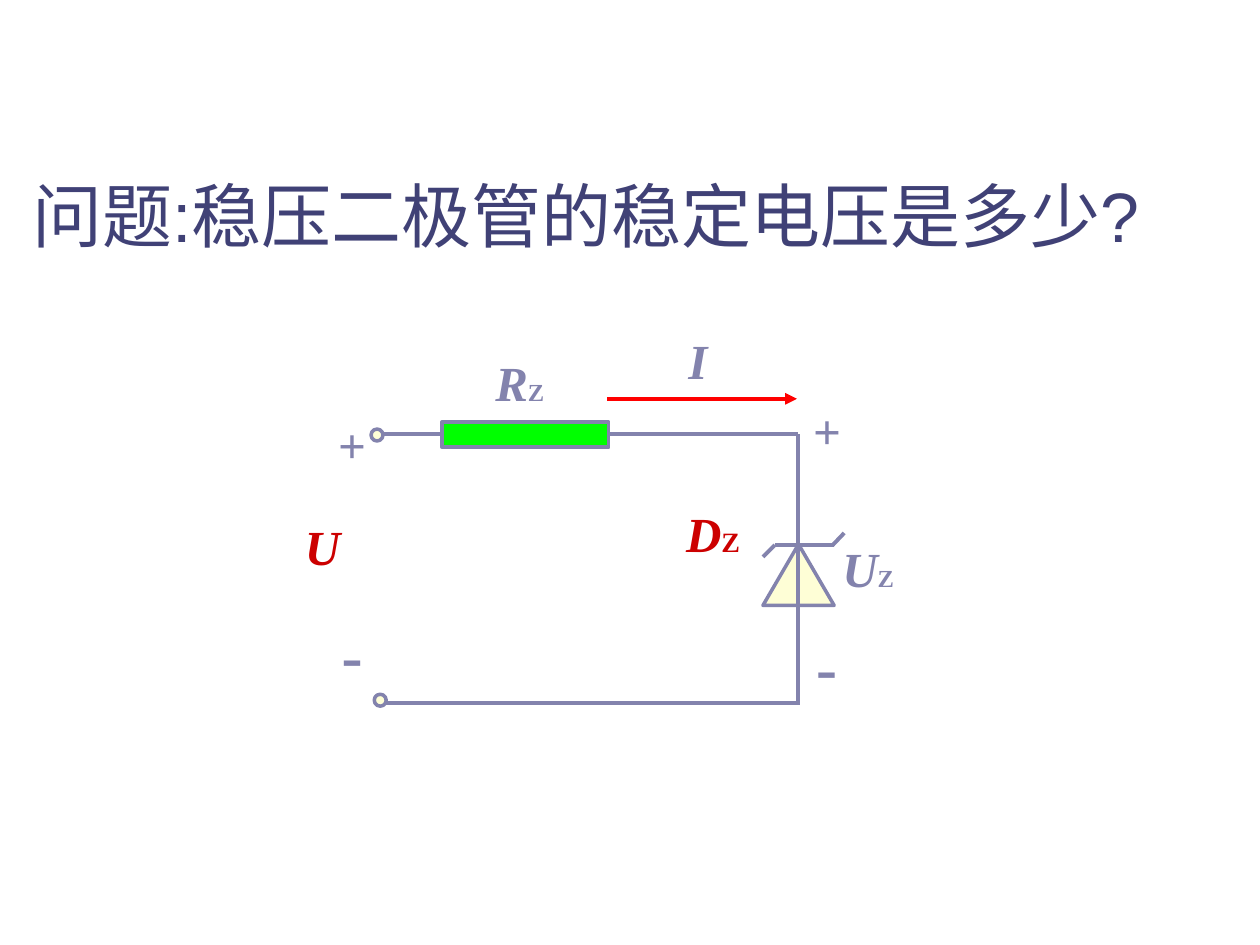
"""Build a slide that asks for the stable voltage of a Zener diode circuit."""
import pptx
import pptx.dml.color
import pptx.enum.shapes
import pptx.enum.text
import pptx.oxml.ns
import pptx.util
import lxml.etree

SHAPES = pptx.enum.shapes.MSO_SHAPE
COLUMNS, ROWS = 100, 75
SLIDE_WIDTH, SLIDE_HEIGHT = pptx.util.Inches(10), pptx.util.Inches(7.5)

INK, NAVY, RED, CURRENT, GREEN, CREAM = "8383AD", "404176", "CC0000", "FF0000", "00FF00", "FEFED6"
SERIF = "Times New Roman"
LEFT, RIGHT, TOP, BOTTOM = 30.4, 63.35, 34.45, 55.8
CATHODE = 43.25

QUESTION = "问题:稳压二极管的稳定电压是多少?"
CATHODE_BAR = [
    (61.5, CATHODE, 60.55, CATHODE + 0.95),
    (61.5, CATHODE, 66.2, CATHODE),
    (67, CATHODE - 0.95, 66.1, CATHODE),
]
WIRES = [
    (LEFT, TOP, RIGHT, TOP),
    (LEFT, BOTTOM, RIGHT - 0.15, BOTTOM),
    (RIGHT, BOTTOM + 0.15, RIGHT, TOP),
]
ANODE = (SHAPES.ISOSCELES_TRIANGLE, (60.55, 43.2, 5.65, 4.85), CREAM, 2)
PARTS = [
    (SHAPES.RECTANGLE, (35.1, TOP - 0.95, 13.2, 2), GREEN, 2.25),
    (SHAPES.FLOWCHART_CONNECTOR, (29.45, 34.05, 0.95, 0.95), CREAM, 2),
    (SHAPES.FLOWCHART_CONNECTOR, (29.7, 55.1, 0.95, 0.95), CREAM, 2),
]
CURRENT_ARROW = (48.2, 31.65, 63.25, 31.65)

SYMBOLS = [
    ("R", "Z", 14, INK, (33.7, 27.5, 15.1, 5.7)),
    ("I", "", 14, INK, (50.7, 25.75, 9.4, 5.7)),
    ("U", "", 14, RED, (20.9, 40.5, 9.4, 5.7)),
    ("U", "Z", 14, INK, (64.2, 42.25, 9.4, 5.7)),
    ("D", "Z", 16, RED, (51.9, 39.5, 9.4, 5.7)),
]
SIGNS = [
    ("+", 28, (24.65, 32.4, 6.6, 5.7)),
    ("+", 28, (62.35, 31.3, 6.6, 5.7)),
    ("-", 36, (22.75, 48.35, 10.4, 7)),
    ("-", 36, (60.4, 49.3, 10.4, 7)),
]


def rgb(value):
    """Turn a hex string into a colour."""
    return pptx.dml.color.RGBColor.from_string(value)


def place(cells):
    """Turn alternating columns and rows into slide lengths."""
    scales = (SLIDE_WIDTH / COLUMNS, SLIDE_HEIGHT / ROWS)
    return [round(cell * scales[i % 2]) for i, cell in enumerate(cells)]


def add_line(slide, ends, colour=INK, arrow=False):
    """Draw a straight line, with an arrowhead at its end if asked."""
    line = slide.shapes.add_connector(pptx.enum.shapes.MSO_CONNECTOR.STRAIGHT, *place(ends))
    line.line.color.rgb = rgb(colour)
    line.line.width = pptx.util.Pt(2.25)
    if arrow:
        outline = line.line._get_or_add_ln()
        lxml.etree.SubElement(outline, pptx.oxml.ns.qn("a:tailEnd"), type="triangle")
    lxml.etree.SubElement(line._element.spPr, pptx.oxml.ns.qn("a:effectLst"))


def add_part(slide, preset, box, fill, width):
    """Draw a filled circuit part."""
    part = slide.shapes.add_shape(preset, *place(box))
    part.shadow.inherit = False
    part.fill.solid()
    part.fill.fore_color.rgb = rgb(fill)
    part.line.color.rgb = rgb(INK)
    part.line.width = pptx.util.Pt(width)


def add_text(slide, box, runs, colour, font=SERIF, bold=True):
    """Write centred runs, each given as text, size and italic."""
    frame = slide.shapes.add_textbox(*place(box)).text_frame
    frame.word_wrap = True
    frame.vertical_anchor = pptx.enum.text.MSO_ANCHOR.TOP
    paragraph = frame.paragraphs[0]
    paragraph.alignment = pptx.enum.text.PP_ALIGN.CENTER
    paragraph._p.get_or_add_pPr().set("hangingPunct", "0")
    for text, size, italic in runs:
        run = paragraph.add_run()
        run.text = text
        run.font.name = font
        run.font.size = pptx.util.Pt(size)
        run.font.bold = bold
        run.font.italic = italic
        run.font.color.rgb = rgb(colour)


def main():
    """Build and save the slide."""
    deck = pptx.Presentation()
    deck.slide_width, deck.slide_height = SLIDE_WIDTH, SLIDE_HEIGHT
    slide = deck.slides.add_slide(deck.slide_layouts[6])
    add_text(slide, (0, 13.2, 93, 12.5), [(QUESTION, 40, False)], NAVY, "Arial", False)
    for ends in CATHODE_BAR:
        add_line(slide, ends)
    add_part(slide, *ANODE)
    for ends in WIRES:
        add_line(slide, ends)
    for part in PARTS:
        add_part(slide, *part)
    add_line(slide, CURRENT_ARROW, CURRENT, arrow=True)
    for letter, index, index_size, colour, box in SYMBOLS:
        runs = [(letter, 28, True)]
        if index:
            runs.append((index, index_size, False))
        add_text(slide, box, runs, colour)
    for sign, size, box in SIGNS:
        add_text(slide, box, [(sign, size, False)], INK)
    deck.save("out.pptx")


if __name__ == "__main__":
    main()
